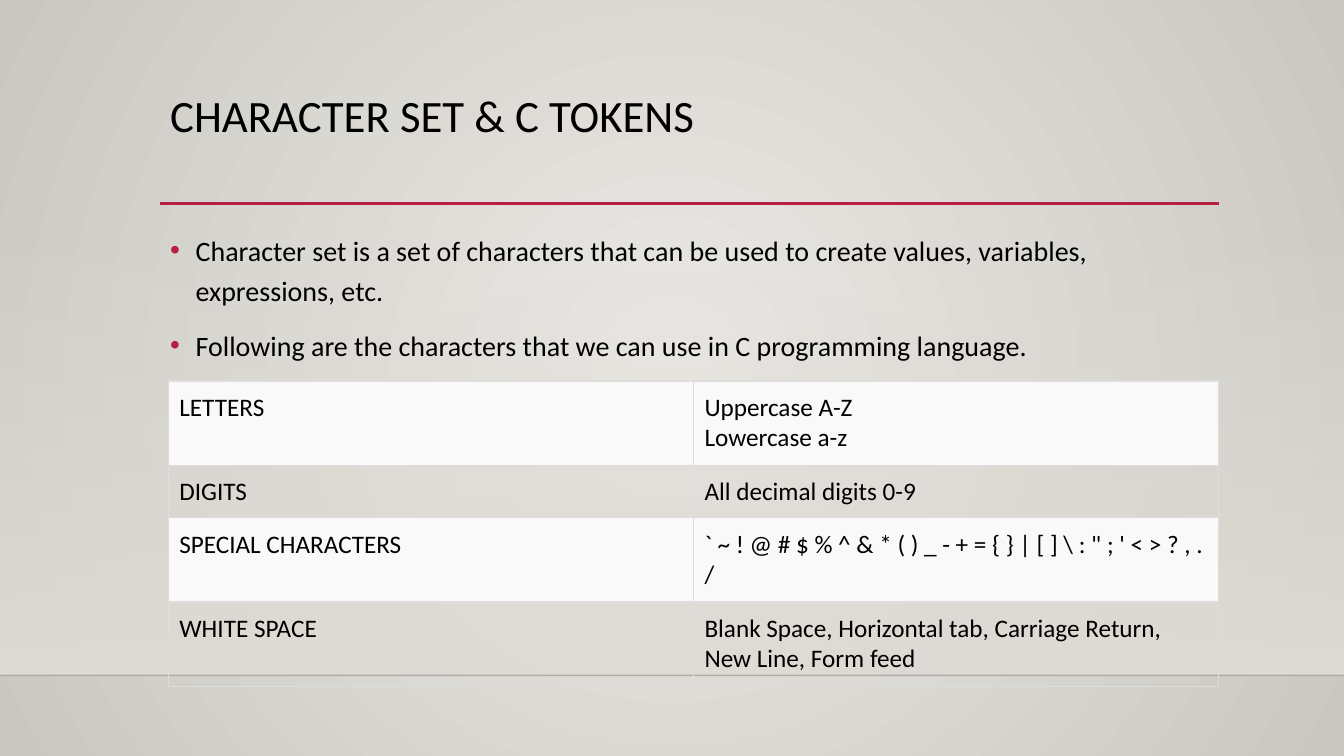
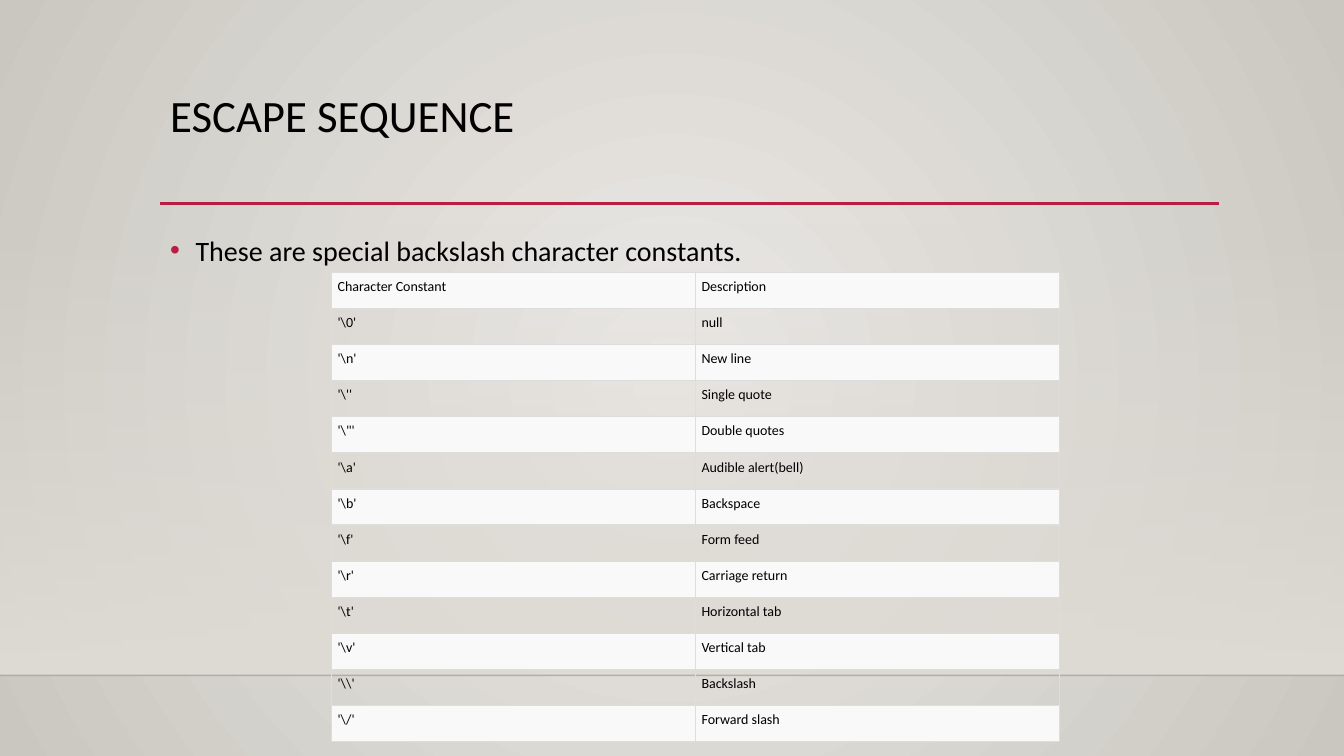
from lxml.etree import SubElement
from pptx import Presentation
from pptx.dml.color import RGBColor
from pptx.enum.shapes import MSO_CONNECTOR as CONNECTOR, MSO_SHAPE as SHAPE
from pptx.enum.text import MSO_ANCHOR as ANCHOR
from pptx.oxml.ns import qn
from pptx.util import Cm, Pt

BLACK = RGBColor(0x00, 0x00, 0x00)
HORIZON = RGBColor(0x00, 0x00, 0x01)
CRIMSON = RGBColor(0xB7, 0x1E, 0x42)
PALE = RGBColor(0xEC, 0xEA, 0xE7)
STONE = RGBColor(0xCA, 0xC7, 0xC1)
SAND = RGBColor(0xDF, 0xDB, 0xD5)
STRIPE = RGBColor(0xF9, 0xF9, 0xF9)
GRID = RGBColor(0xDD, 0xDD, 0xDD)

FONT = "Calibri"
WIDTH, HEIGHT = Cm(33.87), Cm(19.05)
FLOOR = Cm(17.02)
WALL_TOP = Cm(5.61)
TITLE_BOX = Cm(4.04), Cm(2.24), Cm(26.67), Cm(2.92)
BODY_BOX = Cm(4.04), Cm(5.59), Cm(26.67), Cm(9.58)
RULE_Y, RULE_RIGHT = Cm(5.13), Cm(30.73)

TITLE_FORMAT = {"line_spacing": 0.9}
BODY_FORMAT = {"line_spacing": 1.2, "space_before": Pt(10)}

ONE_LINE, TWO_LINES = Cm(1.33), Cm(2.12)
CHARACTER_SET = [
    ("LETTERS", "Uppercase A-Z\vLowercase a-z"),
    ("DIGITS", "All decimal digits 0-9"),
    ("SPECIAL CHARACTERS",
     "` ~ ! @ # $ % ^ & * ( ) _ - + = { } | [ ] \\ : \" ; ' < > ? , . /"),
    ("WHITE SPACE",
     "Blank Space, Horizontal tab, Carriage Return, New Line, Form feed"),
]
ESCAPES = [
    ("Character Constant", "Description"),
    (r"'\0'", "null"),
    (r"'\n'", "New line"),
    (r"'\''", "Single quote"),
    (r"""'\"'""", "Double quotes"),
    (r"'\a'", "Audible alert(bell)"),
    (r"'\b'", "Backspace"),
    (r"'\f'", "Form feed"),
    (r"'\r'", "Carriage return"),
    (r"'\t'", "Horizontal tab"),
    (r"'\v'", "Vertical tab"),
    (r"'\\'", "Backslash"),
    (r"'\/'", "Forward slash"),
]


def apply_format(target, values):
    for attribute, value in values.items():
        setattr(target, attribute, value)


def add_color(parent, color, opacity=100):
    tint = SubElement(parent, qn("a:srgbClr"), val=str(color))
    if opacity < 100:
        SubElement(tint, qn("a:alpha"), val=str(opacity * 1000))


def set_gradient(owner, fill, stops):
    fill.gradient()
    gradient = owner.element.find(".//" + qn("a:gradFill"))
    for child in list(gradient):
        gradient.remove(child)
    stop_list = SubElement(gradient, qn("a:gsLst"))
    for position, color, opacity in stops:
        stop = SubElement(stop_list, qn("a:gs"), pos=str(position * 1000))
        add_color(stop, color, opacity)
    return gradient


def write_text(paragraph, text, size, values):
    paragraph.text = text
    apply_format(paragraph, values)
    for run in paragraph.runs:
        apply_format(run.font, {"name": FONT, "size": Pt(size)})
        run.font.color.rgb = BLACK


def add_rule(slide, left, right, y, color, weight, opacity=100):
    rule = slide.shapes.add_connector(CONNECTOR.STRAIGHT, left, y, right, y)
    rule.line.width = Pt(weight)
    rule.line.color.rgb = color
    if opacity < 100:
        tint = rule.element.find(".//" + qn("a:ln")).find(".//" + qn("a:srgbClr"))
        SubElement(tint, qn("a:alpha"), val=str(opacity * 1000))
    SubElement(rule.element.spPr, qn("a:effectLst"))


def add_backdrop(slide):
    glow = set_gradient(slide, slide.background.fill,
                        [(0, PALE, 100), (100, STONE, 100)])
    circle = SubElement(glow, qn("a:path"), path="circle")
    SubElement(circle, qn("a:fillToRect"),
               {side: "50000" for side in "ltrb"})
    wall = slide.shapes.add_shape(SHAPE.RECTANGLE, 0, WALL_TOP,
                                  WIDTH, FLOOR - WALL_TOP)
    wall.shadow.inherit = False
    wall.line.fill.background()
    fade = set_gradient(wall, wall.fill, [(0, SAND, 0), (100, SAND, 100)])
    SubElement(fade, qn("a:lin"), ang="5400000", scaled="0")
    add_rule(slide, 0, WIDTH, FLOOR, HORIZON, 1, 20)
    add_rule(slide, TITLE_BOX[0], RULE_RIGHT, RULE_Y, CRIMSON, 2.5)


def add_text_frame(slide, box):
    frame = slide.shapes.add_textbox(*box).text_frame
    apply_format(frame, {"word_wrap": True, "vertical_anchor": ANCHOR.TOP})
    return frame


def add_title(slide, box, title):
    frame = add_text_frame(slide, box)
    write_text(frame.paragraphs[0], title, 32, TITLE_FORMAT)


def add_bullets(slide, box, points):
    frame = add_text_frame(slide, box)
    for index, point in enumerate(points):
        paragraph = frame.add_paragraph() if index else frame.paragraphs[0]
        write_text(paragraph, point, 20, BODY_FORMAT)
        properties = paragraph._p.get_or_add_pPr()
        indent = Cm(0.64)
        properties.set("marL", str(indent))
        properties.set("indent", str(-indent))
        add_color(SubElement(properties, qn("a:buClr")), CRIMSON)
        SubElement(properties, qn("a:buFont"), typeface="Arial")
        SubElement(properties, qn("a:buChar"), char="•")


def add_borders(cell):
    properties = cell._tc.get_or_add_tcPr()
    for side in "LRTB":
        border = SubElement(properties, qn(f"a:ln{side}"), w=str(Pt(1)))
        add_color(SubElement(border, qn("a:solidFill")), GRID)


def add_striped_table(slide, box, rows, heights, size, inset):
    table = slide.shapes.add_table(len(rows), len(rows[0]), *box).table
    apply_format(table, {"first_row": False, "horz_banding": False})
    margins = {f"margin_{side}": inset
               for side in ("left", "right", "top", "bottom")}
    for row_index, (texts, height) in enumerate(zip(rows, heights)):
        table.rows[row_index].height = height
        for column_index, text in enumerate(texts):
            cell = table.cell(row_index, column_index)
            apply_format(cell, margins)
            write_text(cell.text_frame.paragraphs[0], text, size, {})
            add_borders(cell)
            if row_index % 2:
                cell.fill.background()
            else:
                cell.fill.solid()
                cell.fill.fore_color.rgb = STRIPE


def add_table_slide(deck, title, points, box, rows, heights, size, inset):
    slide = deck.slides.add_slide(deck.slide_layouts[6])
    add_backdrop(slide)
    add_title(slide, TITLE_BOX, title)
    add_bullets(slide, BODY_BOX, points)
    add_striped_table(slide, (*box, sum(heights)), rows, heights, size, inset)


deck = Presentation()
apply_format(deck, {"slide_width": WIDTH, "slide_height": HEIGHT})
add_table_slide(
    deck, "CHARACTER SET & C TOKENS",
    ["Character set is a set of characters that can be used to create values, "
     "variables, expressions, etc.",
     "Following are the characters that we can use in C programming language."],
    (Cm(4.24), Cm(9.6), Cm(26.47)), CHARACTER_SET,
    [TWO_LINES, ONE_LINE, TWO_LINES, TWO_LINES], 18, Cm(0.28))
add_table_slide(
    deck, "ESCAPE SEQUENCE",
    ["These are special backslash character constants."],
    (Cm(8.36), Cm(6.86), Cm(18.34)), ESCAPES,
    [Cm(0.91)] * len(ESCAPES), 10, Cm(0.15))
deck.save("out.pptx")
